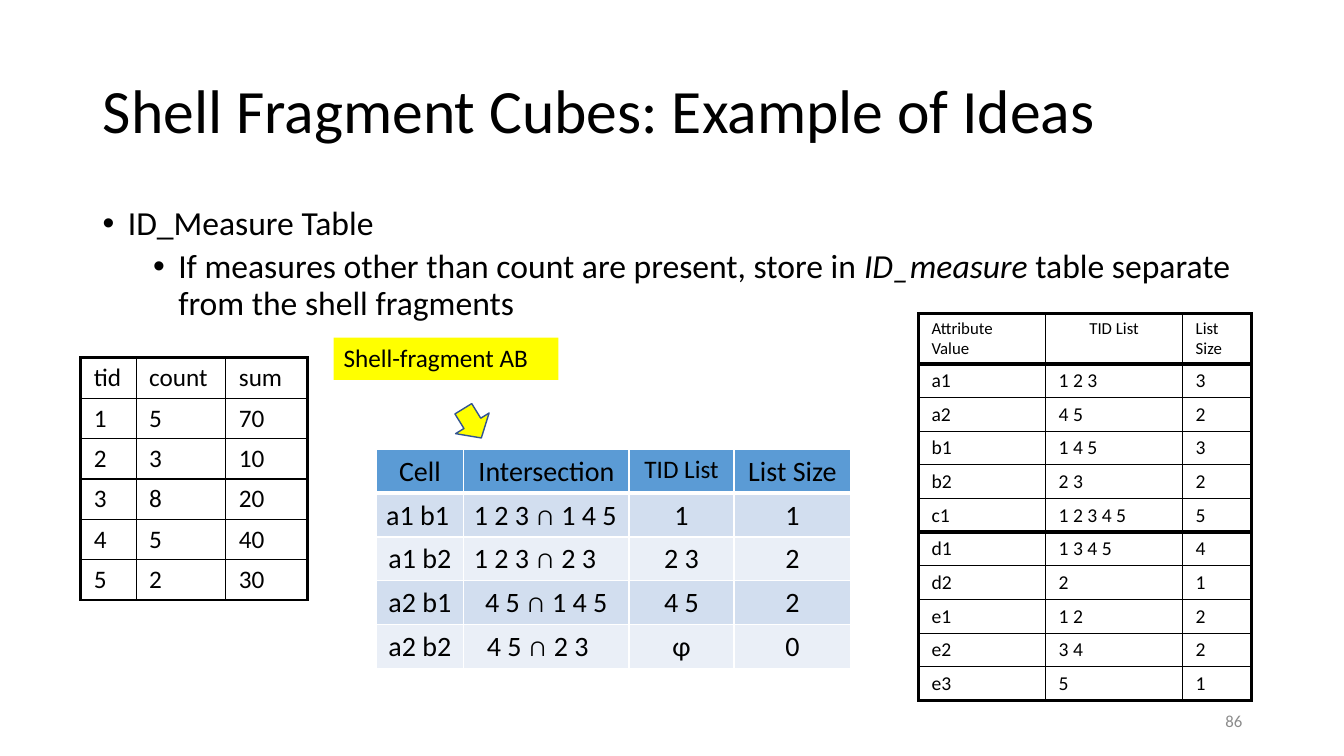
from lxml import etree
from pptx import Presentation
from pptx.dml.color import RGBColor
from pptx.enum.shapes import MSO_SHAPE
from pptx.enum.text import MSO_ANCHOR, MSO_AUTO_SIZE, PP_ALIGN
from pptx.oxml.ns import qn
from pptx.util import Inches, Pt

DOWN_ARROW = MSO_SHAPE.DOWN_ARROW
MIDDLE = MSO_ANCHOR.MIDDLE
NO_AUTOFIT, GROW = MSO_AUTO_SIZE.NONE, MSO_AUTO_SIZE.SHAPE_TO_FIT_TEXT
LEFT, CENTER, RIGHT = PP_ALIGN.LEFT, PP_ALIGN.CENTER, PP_ALIGN.RIGHT

FONT = "Calibri"
BLACK = RGBColor(0x00, 0x00, 0x00)
WHITE = RGBColor(0xFF, 0xFF, 0xFF)
GREY = RGBColor(0x8C, 0x8C, 0x8C)
YELLOW = RGBColor(0xFF, 0xFF, 0x00)
ARROW_EDGE = RGBColor(0x32, 0x54, 0x91)
HEADER_BLUE = RGBColor(0x5B, 0x9B, 0xD5)
BAND_DARK = RGBColor(0xD2, 0xDE, 0xEF)
BAND_LIGHT = RGBColor(0xEA, 0xEF, 0xF7)

MEASURES = [
    ("tid", "count", "sum"),
    ("1", "5", "70"),
    ("2", "3", "10"),
    ("3", "8", "20"),
    ("4", "5", "40"),
    ("5", "2", "30"),
]
FRAGMENT_AB = [
    ("Cell", "Intersection", "TID List", "List Size"),
    ("a1 b1", "1 2 3 ∩ 1 4 5", "1", "1"),
    ("a1 b2", "1 2 3 ∩ 2 3", "2 3", "2"),
    ("a2 b1", "4 5 ∩ 1 4 5", "4 5", "2"),
    ("a2 b2", "4 5 ∩ 2 3", "φ", "0"),
]
INVERTED_INDEX = [
    ("Attribute Value", "TID List", "List Size"),
    ("a1", "1 2 3", "3"),
    ("a2", "4 5", "2"),
    ("b1", "1 4 5", "3"),
    ("b2", "2 3", "2"),
    ("c1", "1 2 3 4 5", "5"),
    ("d1", "1 3 4 5", "4"),
    ("d2", "2", "1"),
    ("e1", "1 2", "2"),
    ("e2", "3 4", "2"),
    ("e3", "5", "1"),
]


def format_runs(paragraph, size, color=BLACK):
    for run in paragraph.runs:
        run.font.name = FONT
        run.font.size = Pt(size)
        run.font.color.rgb = color


def set_bullet(paragraph, margin, hanging=0.25):
    properties = paragraph._p.get_or_add_pPr()
    properties.set("marL", str(Inches(margin)))
    properties.set("indent", str(-Inches(hanging)))
    etree.SubElement(properties, qn("a:buFont")).set("typeface", "Arial")
    etree.SubElement(properties, qn("a:buChar")).set("char", "•")


def set_borders(cell, color, widths):
    """Draw the left, right, top and bottom edges with widths in points."""
    properties = cell._tc.get_or_add_tcPr()
    for side, width in zip("LRTB", widths):
        edge = etree.SubElement(properties, qn(f"a:ln{side}"), w=str(Pt(width)))
        fill = etree.SubElement(edge, qn("a:solidFill"))
        etree.SubElement(fill, qn("a:srgbClr"), val=str(color))


def add_text(slide, box, text, size, color=BLACK):
    label = slide.shapes.add_textbox(*map(Inches, box))
    label.text_frame.word_wrap = True
    label.text_frame.text = text
    format_runs(label.text_frame.paragraphs[0], size, color)
    return label


def add_grid(slide, left, top, columns, rows, row_heights, size, border, across, down):
    """Add an unfilled table; across and down are the widths of its rule lines."""
    frame = slide.shapes.add_table(
        len(rows), len(columns), Inches(left), Inches(top),
        Inches(sum(columns)), Inches(sum(row_heights)))
    table = frame.table
    table.first_row = table.horz_banding = False
    for column, width in zip(table.columns, columns):
        column.width = Inches(width)
    for i, (values, height) in enumerate(zip(rows, row_heights)):
        table.rows[i].height = Inches(height)
        for j, value in enumerate(values):
            cell = table.cell(i, j)
            cell.text_frame.text = value
            format_runs(cell.text_frame.paragraphs[0], size)
            set_borders(cell, border, (down[j], down[j + 1], across[i], across[i + 1]))
            cell.fill.background()
    return table


def widen_margins(table):
    for cell in table.iter_cells():
        cell.margin_left = cell.margin_right = Inches(0.13)


def add_title(slide):
    title = slide.shapes.title
    title.left, title.top, title.width, title.height = map(Inches, (0.92, 0.4, 11.5, 1.45))
    frame = title.text_frame
    frame.text = "Shell Fragment Cubes: Example of Ideas"
    frame.auto_size = NO_AUTOFIT
    frame.vertical_anchor = MIDDLE
    paragraph = frame.paragraphs[0]
    paragraph.alignment = LEFT
    paragraph.line_spacing = 0.9
    format_runs(paragraph, 44)


def add_explanation(slide):
    body = add_text(slide, (0.92, 2, 11.5, 1.25), "ID_Measure Table", 24)
    heading = body.text_frame.paragraphs[0]
    heading.line_spacing = 0.9
    set_bullet(heading, 0.25)
    detail = body.text_frame.add_paragraph()
    detail.level = 1
    detail.line_spacing = 0.9
    detail.space_before = Pt(5)
    set_bullet(detail, 0.75)
    for part in ("If measures other than count are present, store in ",
                 "ID_measure", " table separate from the shell fragments"):
        run = detail.add_run()
        run.text = part
        run.font.italic = part == "ID_measure"
    format_runs(detail, 24)


def add_measure_table(slide):
    table = add_grid(slide, 0.8, 3.55, (0.55, 0.89, 0.81), MEASURES, [0.4] * 6, 18,
                     BLACK, [2.25] + [1] * 5 + [2.25], [2.25, 1, 1, 2.25])
    widen_margins(table)


def add_index_table(slide):
    across = [2.25, 3, 1, 1, 1, 1, 3, 1, 1, 1, 1, 2.25]
    table = add_grid(slide, 9.11, 3.11, (1.26, 1.36, 0.68), INVERTED_INDEX,
                     [0.5] + [0.33] * 10, 14, BLACK, across, [2.25, 1, 1, 2.25])
    widen_margins(table)
    for cell in table.rows[0].cells:
        format_runs(cell.text_frame.paragraphs[0], 12)
    table.cell(0, 1).text_frame.paragraphs[0].alignment = CENTER


def add_fragment_table(slide):
    table = add_grid(slide, 3.73, 4.46, (0.87, 1.64, 1.04, 1.16), FRAGMENT_AB,
                     [0.43] * 5, 20, WHITE, [1, 3, 1, 1, 1, 1], [1] * 5)
    fills = (HEADER_BLUE, BAND_DARK, BAND_LIGHT, BAND_DARK, BAND_LIGHT)
    left_aligned = {(1, 0), (1, 1), (2, 1), (4, 1)}
    for i, fill in enumerate(fills):
        for j, cell in enumerate(table.rows[i].cells):
            cell.fill.solid()
            cell.fill.fore_color.rgb = fill
            cell.text_frame.paragraphs[0].alignment = LEFT if (i, j) in left_aligned else CENTER
    format_runs(table.cell(0, 2).text_frame.paragraphs[0], 18)
    table.cell(4, 1).margin_left = Inches(0.23)


def add_fragment_label(slide):
    label = add_text(slide, (3.31, 3.35, 2.23, 0.42), "Shell-fragment AB", 18)
    label.text_frame.auto_size = GROW
    label.fill.solid()
    label.fill.fore_color.rgb = YELLOW
    arrow = slide.shapes.add_shape(DOWN_ARROW, *map(Inches, (4.49, 4.03, 0.39, 0.34)))
    arrow.rotation = 328.4
    arrow.shadow.inherit = False
    arrow.fill.solid()
    arrow.fill.fore_color.rgb = YELLOW
    arrow.line.color.rgb = ARROW_EDGE
    arrow.line.width = Pt(1)


def add_page_number(slide):
    number = add_text(slide, (9.42, 6.95, 3, 0.4), "86", 12, GREY)
    number.text_frame.vertical_anchor = MIDDLE
    number.text_frame.paragraphs[0].alignment = RIGHT


def main():
    presentation = Presentation()
    presentation.slide_width = Inches(13.33)
    presentation.slide_height = Inches(7.5)
    slide = presentation.slides.add_slide(presentation.slide_layouts.get_by_name("Title Only"))
    add_title(slide)
    add_explanation(slide)
    add_page_number(slide)
    add_index_table(slide)
    add_fragment_table(slide)
    add_measure_table(slide)
    add_fragment_label(slide)
    presentation.save("out.pptx")


if __name__ == "__main__":
    main()
